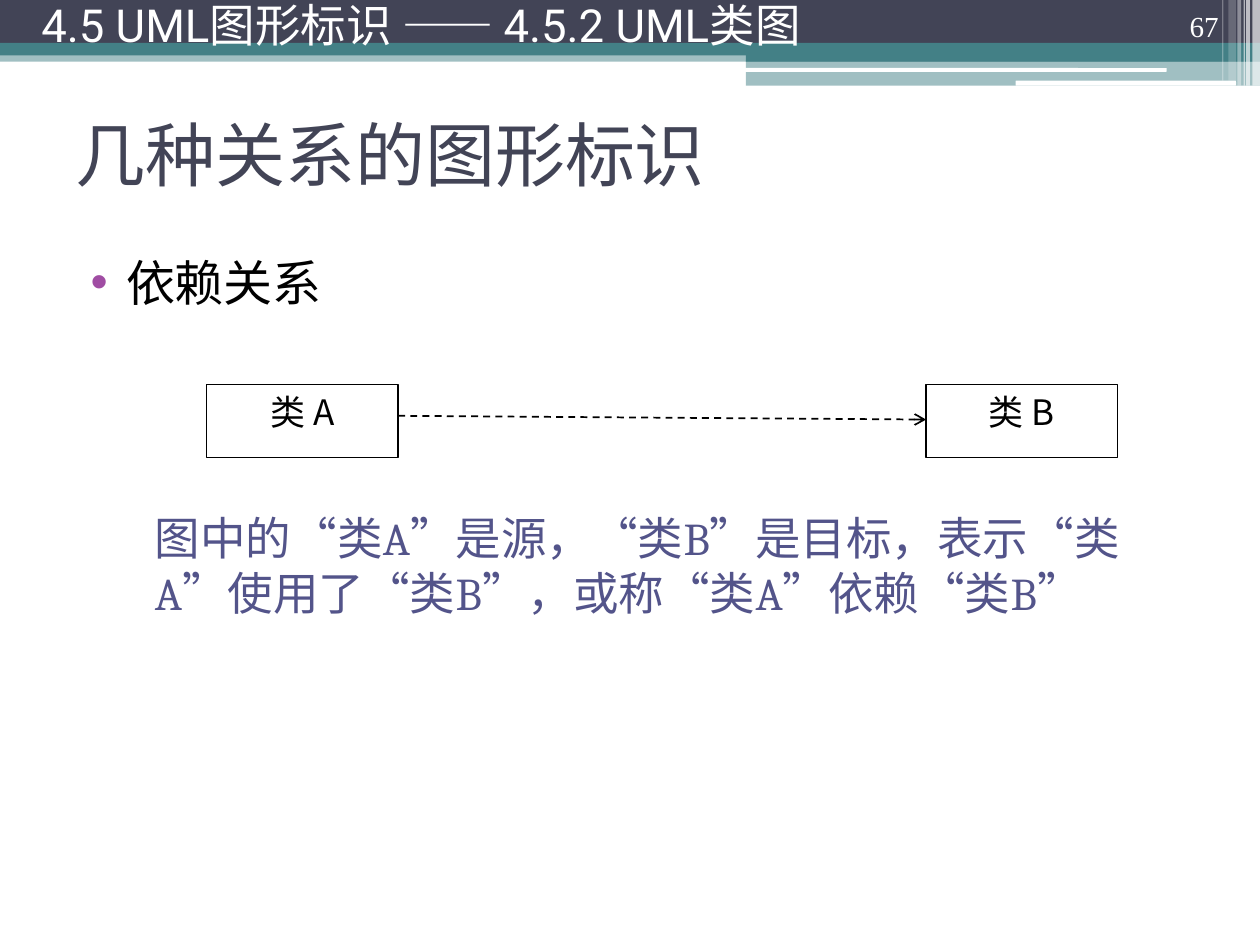
from lxml.etree import SubElement
from pptx import Presentation
from pptx.dml.color import RGBColor
from pptx.enum.dml import MSO_LINE
from pptx.enum.shapes import MSO_CONNECTOR, MSO_SHAPE
from pptx.enum.text import MSO_ANCHOR, MSO_AUTO_SIZE, PP_ALIGN
from pptx.oxml.ns import qn
from pptx.util import Inches, Pt

NAVY = RGBColor(0x42, 0x44, 0x56)
TEAL = RGBColor(0x43, 0x80, 0x86)
INDIGO = RGBColor(0x53, 0x54, 0x8A)
PURPLE = RGBColor(0xA0, 0x4D, 0xA3)
WHITE = RGBColor(0xFF, 0xFF, 0xFF)
BLACK = RGBColor(0x00, 0x00, 0x00)


def add_box(kind, x, y, w, h):
    sp = s.shapes.add_shape(kind, Inches(x), Inches(y), Inches(w), Inches(h))
    sp.shadow.inherit = False
    return sp


def add_run(p, text, size, font, color):
    r = p.add_run()
    r.text = text
    r.font.size = Pt(size)
    r.font.name = font
    r.font.color.rgb = color


prs = Presentation()
prs.slide_width, prs.slide_height = Inches(10), Inches(7.5)
s = prs.slides.add_slide(prs.slide_layouts[1])

# Header bands and stripes: shape, x, y, w, h, colour, opacity in percent
RECT, ROUND = MSO_SHAPE.RECTANGLE, MSO_SHAPE.ROUNDED_RECTANGLE
bands = [
    (RECT, 0, 0.4, 10, 0.09, TEAL, 50),
    (RECT, 0, 0, 10, 0.34, NAVY, 100),
    (RECT, 0, 0.34, 10, 0.1, TEAL, 100),
    (RECT, 5.92, 0.39, 4.08, 0.1, TEAL, 100),
    (RECT, 5.92, 0.48, 4.08, 0.2, TEAL, 50),
    (ROUND, 5.91, 0.54, 3.35, 0.03, WHITE, 100),
    (ROUND, 8.06, 0.64, 1.75, 0.04, WHITE, 100),
    (RECT, 9.94, 0, 0.06, 0.68, WHITE, 65),
    (RECT, 9.89, 0, 0.03, 0.68, WHITE, 65),
    (RECT, 9.87, 0, 0.01, 0.68, WHITE, 60),
    (RECT, 9.82, 0, 0.03, 0.68, WHITE, 40),
    (RECT, 9.75, 0, 0.06, 0.64, WHITE, 20),
    (RECT, 9.7, 0, 0.01, 0.64, WHITE, 30),
]
for kind, x, y, w, h, color, opacity in bands:
    sp = add_box(kind, x, y, w, h)
    sp.fill.solid()
    sp.fill.fore_color.rgb = color
    sp.line.fill.background()
    if opacity < 100:
        clr = sp.fill._xPr.find(".//" + qn("a:srgbClr"))
        SubElement(clr, qn("a:alpha"), val=str(opacity * 1000))

# Title
title = s.shapes.title
title.left, title.top = Inches(0.5), Inches(0.63)
title.width, title.height = Inches(9), Inches(1.17)
tf = title.text_frame
tf.auto_size = MSO_AUTO_SIZE.NONE
tf.vertical_anchor = MSO_ANCHOR.MIDDLE
p = tf.paragraphs[0]
p.alignment = PP_ALIGN.LEFT
add_run(p, "几种关系的图形标识", 40, "Roboto", NAVY)

# Body: bulleted heading, then the explanation below the diagram
body = s.placeholders[1]
body.left, body.top = Inches(0.5), Inches(1.95)
body.width, body.height = Inches(9), Inches(5.24)
tf = body.text_frame
tf.auto_size = MSO_AUTO_SIZE.NONE
p = tf.paragraphs[0]
p.space_before = Pt(0)
pPr = p._p.get_or_add_pPr()
pPr.set("marL", str(Inches(0.4)))
pPr.set("indent", str(Inches(-0.28)))
SubElement(SubElement(pPr, qn("a:buClr")), qn("a:srgbClr"), val=str(PURPLE))
SubElement(pPr, qn("a:buChar"), char="•")
add_run(p, "依赖关系", 28, "Cambria", BLACK)

p = tf.add_paragraph()
p.level = 1
p.space_before = Pt(114)
pPr = p._p.get_or_add_pPr()
pPr.set("marL", str(Inches(0.63)))
pPr.set("indent", "0")
SubElement(pPr, qn("a:buNone"))
add_run(p, "图中的“类A”是源，“类B”是目标，表示“类A”使用了“类B”，或称“类A”依赖“类B”",
        26, "Cambria", INDIGO)

# Page number and section heading
labels = [
    ("67", 8.94, 0.83, 0.4, MSO_ANCHOR.BOTTOM, PP_ALIGN.RIGHT, 0.9, 16.6, "Times New Roman"),
    ("4.5 UML图形标识 —— 4.5.2 UML类图", 0.23, 7.11, 0.47, MSO_ANCHOR.MIDDLE,
     PP_ALIGN.LEFT, 0.8, 26, "Roboto"),
]
for text, x, w, h, anchor, align, spacing, size, font in labels:
    tf = s.shapes.add_textbox(Inches(x), 0, Inches(w), Inches(h)).text_frame
    tf.word_wrap = True
    tf.vertical_anchor = anchor
    p = tf.paragraphs[0]
    p.alignment = align
    p.line_spacing = spacing
    add_run(p, text, size, font, WHITE)

# Class boxes
for text, x in (("类 A", 1.64), ("类 B", 7.35)):
    sp = add_box(RECT, x, 3.05, 1.52, 0.58)
    sp.fill.background()
    sp.line.color.rgb = BLACK
    sp.line.width = Pt(0.75)
    tf = sp.text_frame
    tf.vertical_anchor = MSO_ANCHOR.TOP
    p = tf.paragraphs[0]
    p.alignment = PP_ALIGN.CENTER
    add_run(p, text, 20, "Noto Sans CJK SC", BLACK)

# Dashed dependency arrow
arrow = s.shapes.add_connector(MSO_CONNECTOR.STRAIGHT, Inches(3.16), Inches(3.3),
                               Inches(7.35), Inches(3.33))
arrow.line.color.rgb = BLACK
arrow.line.width = Pt(1)
arrow.line.dash_style = MSO_LINE.DASH
SubElement(arrow.line._get_or_add_ln(), qn("a:tailEnd"), type="arrow")
SubElement(arrow._element.spPr, qn("a:effectLst"))

prs.save("out.pptx")
